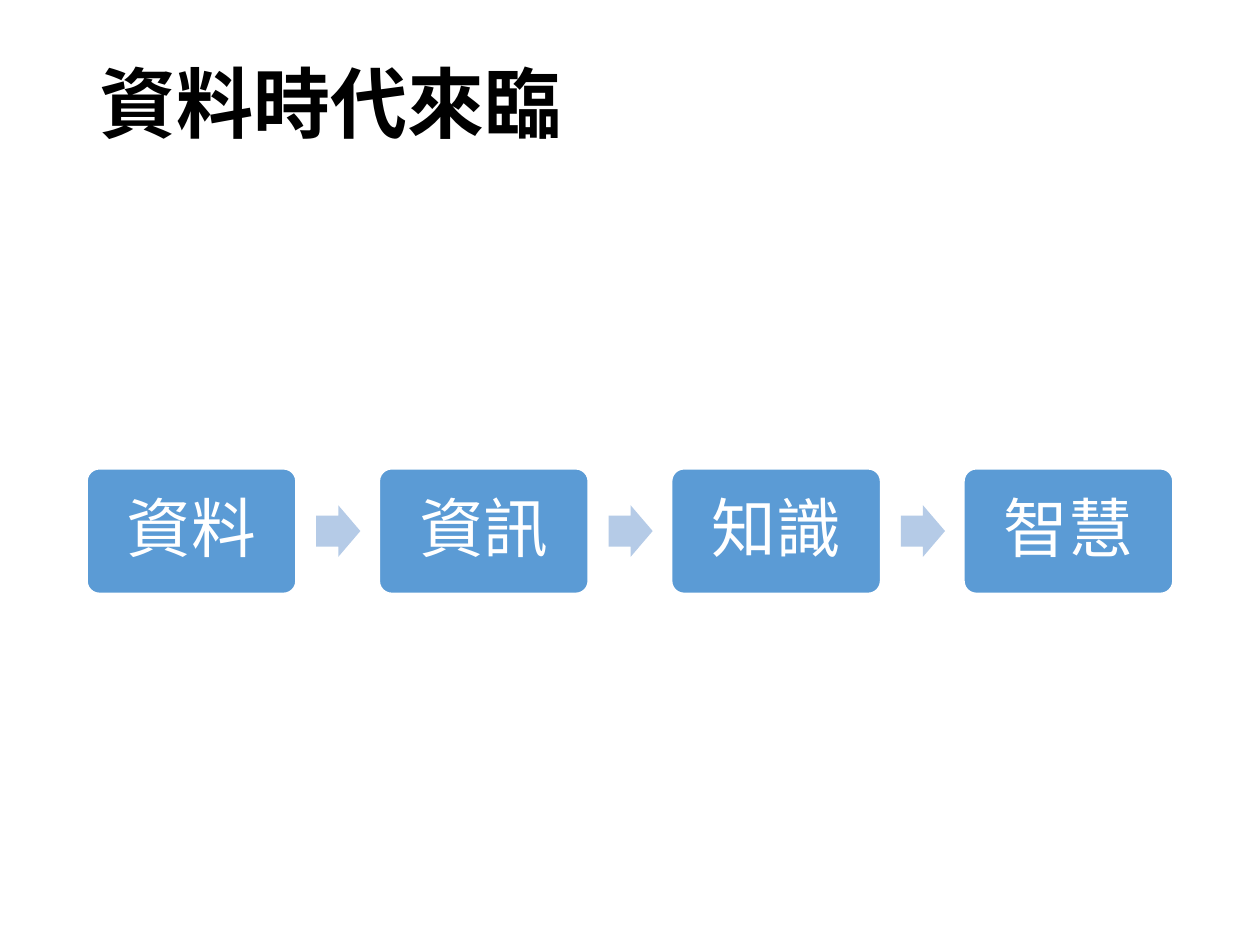
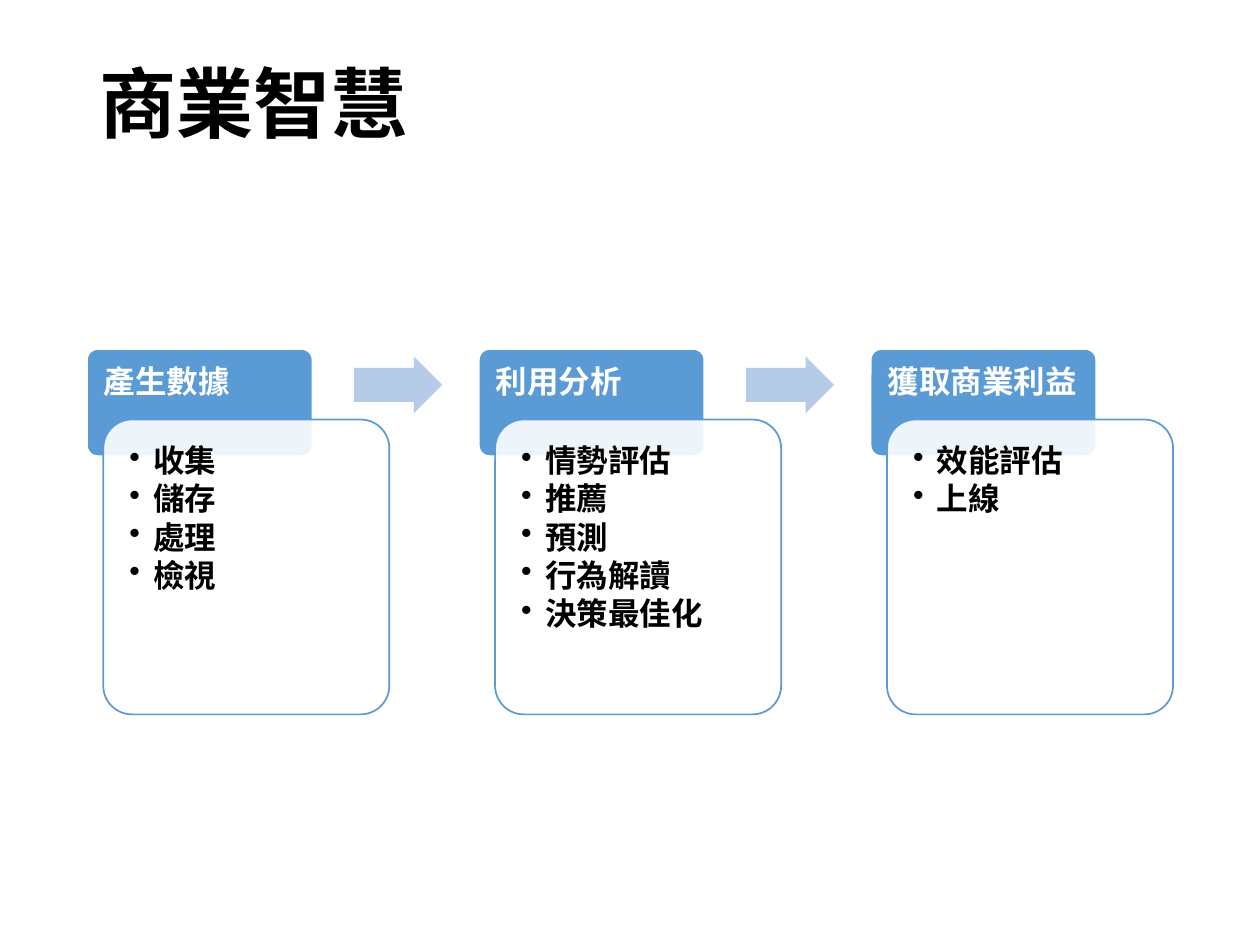
from dataclasses import dataclass

from pptx import Presentation
from pptx.dml.color import RGBColor
from pptx.enum.shapes import MSO_SHAPE
from pptx.enum.text import MSO_ANCHOR, PP_ALIGN
from pptx.oxml.ns import qn
from pptx.util import Inches, Pt
from lxml.etree import SubElement


@dataclass(frozen=True)
class Theme:
    blue: RGBColor = RGBColor(0x5B, 0x9B, 0xD5)
    pale_blue: RGBColor = RGBColor(0xB5, 0xCB, 0xE7)
    white: RGBColor = RGBColor(0xFF, 0xFF, 0xFF)
    black: RGBColor = RGBColor(0, 0, 0)
    title_font: str = "Times New Roman"
    body_font: str = "Calibri"
    title_size: int = 44
    step_size: int = 37
    card_size: int = 18
    line_spacing: float = 0.9


THEME = Theme()
LEFT, RIGHT = 0.69, 9.31

STEPS = ["資料", "資訊", "知識", "智慧"]
STAGES = [
    ("產生數據", ["收集", "儲存", "處理", "檢視"]),
    ("利用分析", ["情勢評估", "推薦", "預測", "行為解讀", "決策最佳化"]),
    ("獲取商業利益", ["效能評估", "上線"]),
]


def spread(count, width):
    """Left edges of equal items spaced evenly between the margins."""
    pitch = (RIGHT - LEFT - width) / (count - 1)
    return [LEFT + pitch * i for i in range(count)]


def add_bullet(paragraph):
    properties = paragraph._p.get_or_add_pPr()
    properties.set("marL", str(Inches(0.19)))
    properties.set("indent", str(-Inches(0.19)))
    SubElement(properties, qn("a:buChar")).set("char", "•")


def write(frame, lines, size, color, font=THEME.body_font, bold=False,
          align=PP_ALIGN.LEFT, anchor=MSO_ANCHOR.MIDDLE, inset=None,
          bulleted=False, space_after=0):
    frame.word_wrap = True
    frame.vertical_anchor = anchor
    if inset is not None:
        frame.margin_left = frame.margin_right = Inches(inset)
        frame.margin_top = frame.margin_bottom = Inches(inset)
    for i, line in enumerate(lines):
        paragraph = frame.paragraphs[0] if i == 0 else frame.add_paragraph()
        paragraph.text = line
        if bulleted:
            add_bullet(paragraph)
        paragraph.alignment = align
        paragraph.line_spacing = THEME.line_spacing
        paragraph.space_after = Pt(space_after)
        paragraph.font.name = font
        paragraph.font.size = Pt(size)
        paragraph.font.bold = bold
        paragraph.font.color.rgb = color


def add_title(slide, title):
    box = slide.shapes.add_textbox(Inches(LEFT), Inches(0.4),
                                   Inches(RIGHT - LEFT), Inches(0.9))
    write(box.text_frame, [title], THEME.title_size, THEME.black,
          font=THEME.title_font, bold=True)


def add_filled(slide, kind, left, top, width, height, fill, line=None):
    shape = slide.shapes.add_shape(kind, Inches(left), Inches(top),
                                   Inches(width), Inches(height))
    shape.shadow.inherit = False
    shape.fill.solid()
    shape.fill.fore_color.rgb = fill
    if line is None:
        shape.line.fill.background()
    else:
        shape.line.color.rgb = line
        shape.line.width = Pt(1)
    return shape


def add_card(slide, left, top, width, height, fill, line):
    card = add_filled(slide, MSO_SHAPE.ROUNDED_RECTANGLE,
                      left, top, width, height, fill, line)
    card.adjustments[0] = 0.1
    return card


def add_arrow(slide, left, top, width, height):
    arrow = add_filled(slide, MSO_SHAPE.RIGHT_ARROW,
                       left, top, width, height, THEME.pale_blue)
    arrow.adjustments[0] = 0.6
    arrow.adjustments[1] = 0.5


def set_opacity(shape, percent):
    fill_color = shape.element.spPr.find(qn("a:solidFill"))[0]
    SubElement(fill_color, qn("a:alpha")).set("val", str(percent * 1000))


def add_step(slide, left, label):
    step = add_card(slide, left, 3.72, 1.66, 0.99, THEME.blue, THEME.white)
    write(step.text_frame, [label], THEME.step_size, THEME.white,
          align=PP_ALIGN.CENTER, inset=0.15)


def add_stage(slide, left, heading, tasks):
    """Blue heading card with a translucent task card overlapping it."""
    header = add_card(slide, left, 2.77, 1.79, 0.85, THEME.blue, THEME.white)
    write(header.text_frame, [heading], THEME.card_size, THEME.white,
          bold=True, anchor=MSO_ANCHOR.TOP, inset=0.11)
    details = add_card(slide, left + 0.13, 3.33, 2.27, 2.34,
                       THEME.white, THEME.blue)
    set_opacity(details, 90)
    write(details.text_frame, tasks, THEME.card_size, THEME.black, bold=True,
          anchor=MSO_ANCHOR.TOP, inset=0.14, bulleted=True, space_after=2.4)


def build_data_age(slide):
    add_title(slide, "資料時代來臨")
    lefts = spread(len(STEPS), 1.66)
    for left, label in zip(lefts, STEPS):
        add_step(slide, left, label)
    for left in lefts[:-1]:
        add_arrow(slide, left + 1.82, 4.01, 0.35, 0.41)


def build_business_intelligence(slide):
    add_title(slide, "商業智慧")
    lefts = spread(len(STAGES), 2.4)
    for left, (heading, tasks) in zip(lefts, STAGES):
        add_stage(slide, left, heading, tasks)
    for left in lefts[:-1]:
        add_arrow(slide, left + 2.12, 2.83, 0.7, 0.45)


def main():
    deck = Presentation()
    deck.slide_width, deck.slide_height = Inches(10), Inches(7.5)
    blank = deck.slide_layouts[6]
    for build in (build_data_age, build_business_intelligence):
        build(deck.slides.add_slide(blank))
    deck.save("out.pptx")


if __name__ == "__main__":
    main()
